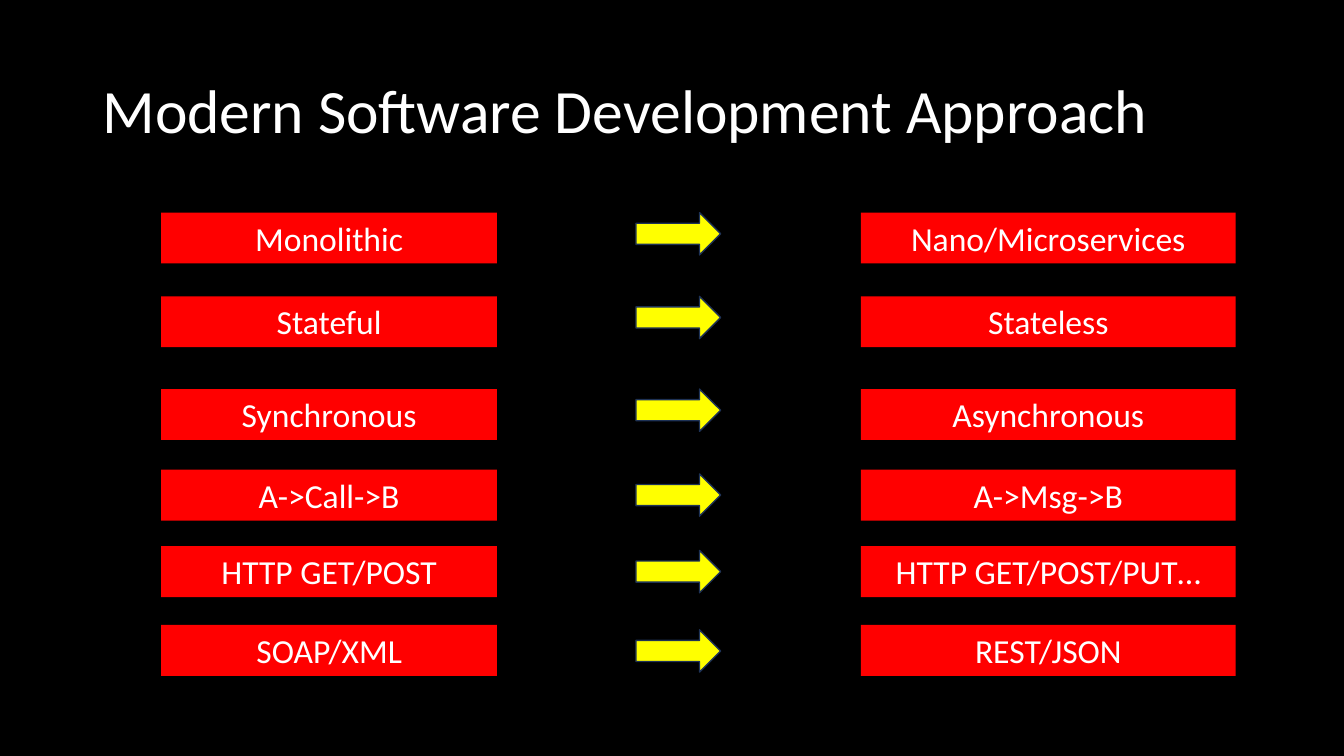
"""Build a slide pairing older software practices with modern ones."""
from dataclasses import dataclass

from pptx import Presentation
from pptx.dml.color import RGBColor
from pptx.enum.shapes import MSO_SHAPE
from pptx.enum.text import MSO_ANCHOR, MSO_AUTO_SIZE, PP_ALIGN
from pptx.shapes.autoshape import Shape
from pptx.slide import Slide
from pptx.text.text import TextFrame
from pptx.util import Pt

BLACK = RGBColor(0x00, 0x00, 0x00)
WHITE = RGBColor(0xFF, 0xFF, 0xFF)
RED = RGBColor(0xFF, 0x00, 0x00)
YELLOW = RGBColor(0xFF, 0xFF, 0x00)
NAVY = RGBColor(0x1E, 0x32, 0x56)

FONT = "Calibri"
OLD_LEFT, OLD_WIDTH = 115.2, 239.8
NEW_LEFT, NEW_WIDTH = 614.9, 267.8
BOX_HEIGHT = 36.35
ARROW_LEFT, ARROW_WIDTH, ARROW_HEIGHT = 454.3, 60.5, 30.2


@dataclass(frozen=True)
class Shift:
    old: str
    new: str
    top: float
    arrow_drop: float = 0


SHIFTS = [
    Shift("Monolithic", "Nano/Microservices", 151.9),
    Shift("Stateful", "Stateless", 211.7),
    Shift("Synchronous", "Asynchronous", 277.9),
    Shift("A->Call->B", "A->Msg->B", 335.5, 3),
    Shift("HTTP GET/POST", "HTTP GET/POST/PUT…", 390.2, 3),
    Shift("SOAP/XML", "REST/JSON", 446.4, 3.5),
]


def set_text(tf: TextFrame, text: str, *, size: float, align: PP_ALIGN,
             anchor: MSO_ANCHOR, auto_size: MSO_AUTO_SIZE,
             spacing: float = 1.0) -> None:
    tf.word_wrap = True
    tf.auto_size = auto_size
    tf.vertical_anchor = anchor
    p = tf.paragraphs[0]
    p.alignment = align
    p.line_spacing = spacing
    r = p.add_run()
    r.text = text
    r.font.name = FONT
    r.font.size = Pt(size)
    r.font.color.rgb = WHITE


def add_filled(s: Slide, kind: MSO_SHAPE, left: float, top: float,
               width: float, height: float, fill: RGBColor) -> Shape:
    sp = s.shapes.add_shape(kind, Pt(left), Pt(top), Pt(width), Pt(height))
    sp.shadow.inherit = False
    sp.fill.solid()
    sp.fill.fore_color.rgb = fill
    return sp


def add_box(s: Slide, text: str, left: float, top: float, width: float) -> None:
    sp = add_filled(s, MSO_SHAPE.RECTANGLE, left, top, width, BOX_HEIGHT, RED)
    sp.line.fill.background()
    set_text(sp.text_frame, text, size=24, align=PP_ALIGN.CENTER,
             anchor=MSO_ANCHOR.TOP, auto_size=MSO_AUTO_SIZE.SHAPE_TO_FIT_TEXT)


def add_arrow(s: Slide, top: float) -> None:
    sp = add_filled(s, MSO_SHAPE.RIGHT_ARROW, ARROW_LEFT, top,
                    ARROW_WIDTH, ARROW_HEIGHT, YELLOW)
    sp.line.color.rgb = NAVY
    sp.line.width = Pt(1)


def add_shift(s: Slide, shift: Shift) -> None:
    add_box(s, shift.old, OLD_LEFT, shift.top, OLD_WIDTH)
    add_box(s, shift.new, NEW_LEFT, shift.top, NEW_WIDTH)
    add_arrow(s, shift.top + shift.arrow_drop)


def add_title(s: Slide, text: str) -> None:
    sp = s.shapes.title
    sp.left, sp.top, sp.width, sp.height = Pt(66), Pt(28.75), Pt(828), Pt(104.4)
    set_text(sp.text_frame, text, size=44, align=PP_ALIGN.LEFT,
             anchor=MSO_ANCHOR.MIDDLE, auto_size=MSO_AUTO_SIZE.NONE, spacing=0.9)


def main() -> None:
    prs = Presentation()
    prs.slide_width, prs.slide_height = Pt(960), Pt(540)
    s = prs.slides.add_slide(prs.slide_layouts.get_by_name("Title Only"))
    s.background.fill.solid()
    s.background.fill.fore_color.rgb = BLACK
    add_title(s, "Modern Software Development Approach")
    for shift in SHIFTS:
        add_shift(s, shift)
    prs.save("out.pptx")


if __name__ == "__main__":
    main()
